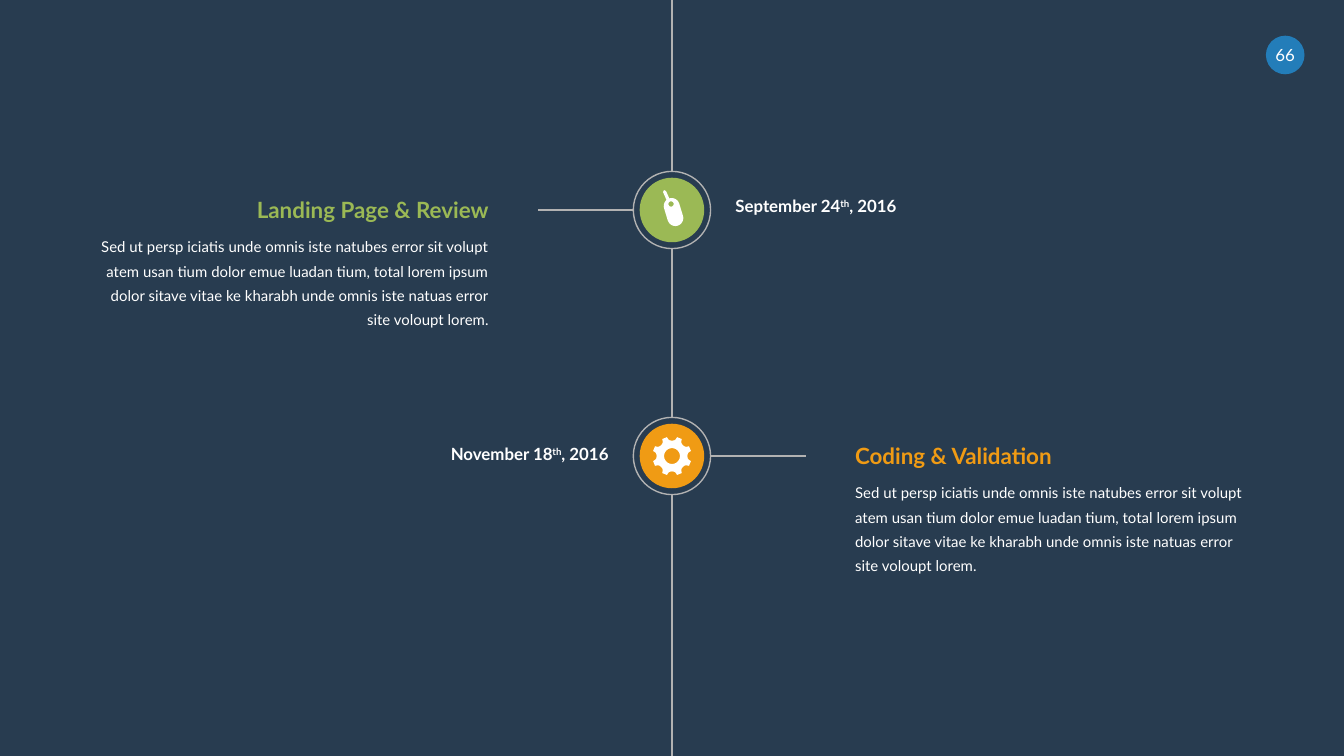
import math
from dataclasses import dataclass

import pptx
import pptx.dml.color
import pptx.enum.shapes
import pptx.enum.text
import pptx.oxml
import pptx.oxml.ns
import pptx.util
from pptx.util import Cm

FONT = "Lato"
WHITE = "FFFFFF"
LINE = "B2B2B2"
BACKGROUND = "283C50"
BLUE = "237DB9"
GREEN = "9BB955"
ORANGE = "F09B14"
WIDTH, HEIGHT = 25.4, 14.29
AXIS = WIDTH / 2
RING, DISC = 1.46, 1.22
TEXT_WIDTH, DATE_WIDTH = 7.34, 4.11
TEXT_GAP, DATE_GAP, ARM_END = 3.46, 1.2, 2.54
LEFT, RIGHT = -1, 1
DETAILS = (
    "Sed ut persp iciatis unde omnis iste natubes error sit volupt "
    "atem usan tium dolor emue luadan tium, total lorem ipsum dolor "
    "sitave vitae ke kharabh unde omnis iste natuas error site voloupt lorem."
)

Points = list[tuple[float, float]]


@dataclass
class Milestone:
    heading: str
    month_day: str
    center: float
    date_top: float
    side: int
    color: str
    heading_index: int
    body_index: int
    icon: list[Points]


def rgb(color: str):
    return pptx.dml.color.RGBColor.from_string(color)


def arc(x: float, y: float, radius: float, start: int, end: int) -> Points:
    return [
        (x + radius * math.cos(math.radians(a)), y + radius * math.sin(math.radians(a)))
        for a in range(start, end + 1, 15)
    ]


def tag_icon() -> list[Points]:
    tilt = math.radians(-17)
    strap = [(-0.06, -0.26), (-0.08, -0.42), (-0.05, -0.45), (-0.02, -0.42), (0.0, -0.27)]
    outline = arc(0, 0.12, 0.15, 0, 180) + arc(0, -0.12, 0.15, 180, 240)
    outline += strap + arc(0, -0.12, 0.15, 285, 360)
    hole = arc(0, -0.16, 0.05, 0, 345)
    return [
        [
            (0.03 + x * math.cos(tilt) - y * math.sin(tilt),
             0.04 + x * math.sin(tilt) + y * math.cos(tilt))
            for x, y in contour
        ]
        for contour in (outline, hole)
    ]


def gear_icon() -> list[Points]:
    tooth = [(0, 0.29), (8, 0.3), (12, 0.32), (15, 0.37), (30, 0.37), (33, 0.32), (37, 0.3)]
    outline = [
        (radius * math.cos(math.radians(turn + angle)), radius * math.sin(math.radians(turn + angle)))
        for turn in range(0, 360, 45)
        for angle, radius in tooth
    ]
    return [outline, arc(0, 0, 0.15, 0, 345)]


def draw_line(page, start: tuple[float, float], end: tuple[float, float]) -> None:
    line = page.shapes.add_connector(
        pptx.enum.shapes.MSO_CONNECTOR.STRAIGHT, *(Cm(value) for value in start + end)
    )
    line.line.color.rgb = rgb(LINE)
    line.line.width = pptx.util.Pt(1)
    properties = line._element.find(pptx.oxml.ns.qn("p:spPr"))
    properties.append(pptx.oxml.parse_xml(f"<a:effectLst {pptx.oxml.ns.nsdecls('a')}/>"))


def draw_circle(page, x: float, y: float, size: float, fill: str = "", outline: str = ""):
    circle = page.shapes.add_shape(
        pptx.enum.shapes.MSO_SHAPE.OVAL, Cm(x - size / 2), Cm(y - size / 2), Cm(size), Cm(size)
    )
    circle.shadow.inherit = False
    if fill:
        circle.fill.solid()
        circle.fill.fore_color.rgb = rgb(fill)
    else:
        circle.fill.background()
    if outline:
        circle.line.color.rgb = rgb(outline)
        circle.line.width = pptx.util.Pt(0.75)
    else:
        circle.line.fill.background()
    return circle


def draw_icon(page, contours: list[Points], y: float) -> None:
    placed = [[(Cm(AXIS + dx), Cm(y + dy)) for dx, dy in contour] for contour in contours]
    builder = page.shapes.build_freeform(*placed[0][0])
    for number, contour in enumerate(placed):
        if number:
            builder.move_to(*contour[0])
        builder.add_line_segments(contour[1:], close=True)
    icon = builder.convert_to_shape()
    icon.shadow.inherit = False
    icon.fill.solid()
    icon.fill.fore_color.rgb = rgb(WHITE)
    icon.line.fill.background()


def place(box, left: float, top: float, width: float, height: float) -> None:
    box.left, box.top, box.width, box.height = Cm(left), Cm(top), Cm(width), Cm(height)


def write(box, spans: list[str], size: float, color: str, side: int,
          bold: bool = False, spacing: float = 1.0) -> None:
    frame = box.text_frame
    frame.word_wrap = True
    frame.auto_size = pptx.enum.text.MSO_AUTO_SIZE.NONE
    frame.vertical_anchor = pptx.enum.text.MSO_ANCHOR.MIDDLE if side == 0 else pptx.enum.text.MSO_ANCHOR.TOP
    frame.margin_left = frame.margin_right = frame.margin_top = frame.margin_bottom = 0
    para = frame.paragraphs[0]
    align = pptx.enum.text.PP_ALIGN
    para.alignment = {LEFT: align.RIGHT, 0: align.CENTER, RIGHT: align.LEFT}[side]
    para.line_spacing = spacing
    para.space_before = pptx.util.Pt(0)
    para.font.name = FONT
    para.font.size = pptx.util.Pt(size)
    para.font.bold = bold
    para.font.color.rgb = rgb(color)
    properties = para._p.get_or_add_pPr()
    properties.set("marL", "0")
    properties.set("indent", "0")
    bullet = pptx.oxml.parse_xml(f"<a:buNone {pptx.oxml.ns.nsdecls('a')}/>")
    properties.find(pptx.oxml.ns.qn("a:defRPr")).addprevious(bullet)
    for number, text in enumerate(spans):
        span = para.add_run()
        span.text = text
        if number == 1:
            span._r.get_or_add_rPr().set("baseline", "30000")


def draw_milestone(page, item: Milestone) -> None:
    draw_line(page, (AXIS + item.side * RING / 2, item.center), (AXIS + item.side * ARM_END, item.center))
    draw_circle(page, AXIS, item.center, RING, outline=LINE)
    draw_circle(page, AXIS, item.center, DISC, fill=item.color)
    draw_icon(page, item.icon, item.center)

    text_left = AXIS + TEXT_GAP if item.side == RIGHT else AXIS - TEXT_GAP - TEXT_WIDTH
    holders = {holder.placeholder_format.idx: holder for holder in page.placeholders}
    heading, body = holders[item.heading_index], holders[item.body_index]
    place(heading, text_left, item.center - 0.26, TEXT_WIDTH, 0.51)
    write(heading, [item.heading], 12, item.color, item.side, bold=True)
    place(body, text_left, item.center + 0.41, TEXT_WIDTH, 1.8)
    write(body, [DETAILS], 8, WHITE, item.side, spacing=1.35)

    date_left = AXIS + DATE_GAP if item.side == LEFT else AXIS - DATE_GAP - DATE_WIDTH
    date = page.shapes.add_textbox(Cm(date_left), Cm(item.date_top), Cm(DATE_WIDTH), Cm(0.38))
    write(date, [item.month_day, "th", ", 2016"], 9, WHITE, -item.side, bold=True)


def main() -> None:
    deck = pptx.Presentation()
    deck.slide_width, deck.slide_height = Cm(WIDTH), Cm(HEIGHT)
    page = deck.slides.add_slide(deck.slide_layouts.get_by_name("Comparison"))
    page.background.fill.solid()
    page.background.fill.fore_color.rgb = rgb(BACKGROUND)

    milestones = [
        Milestone("Landing Page & Review", "September 24", 3.97, 3.7, LEFT, GREEN, 0, 2, tag_icon()),
        Milestone("Coding & Validation", "November 18", 8.62, 8.39, RIGHT, ORANGE, 3, 4, gear_icon()),
    ]
    top = 0.0
    for item in milestones:
        draw_line(page, (AXIS, top), (AXIS, item.center - RING / 2))
        draw_milestone(page, item)
        top = item.center + RING / 2
    draw_line(page, (AXIS, top), (AXIS, HEIGHT))

    badge = draw_circle(page, 24.29, 1.04, 0.73, fill=BLUE)
    write(badge, ["66"], 9, WHITE, 0)

    for holder in list(page.placeholders):
        if not holder.text_frame.text:
            holder._element.getparent().remove(holder._element)
    deck.save("out.pptx")


if __name__ == "__main__":
    main()
